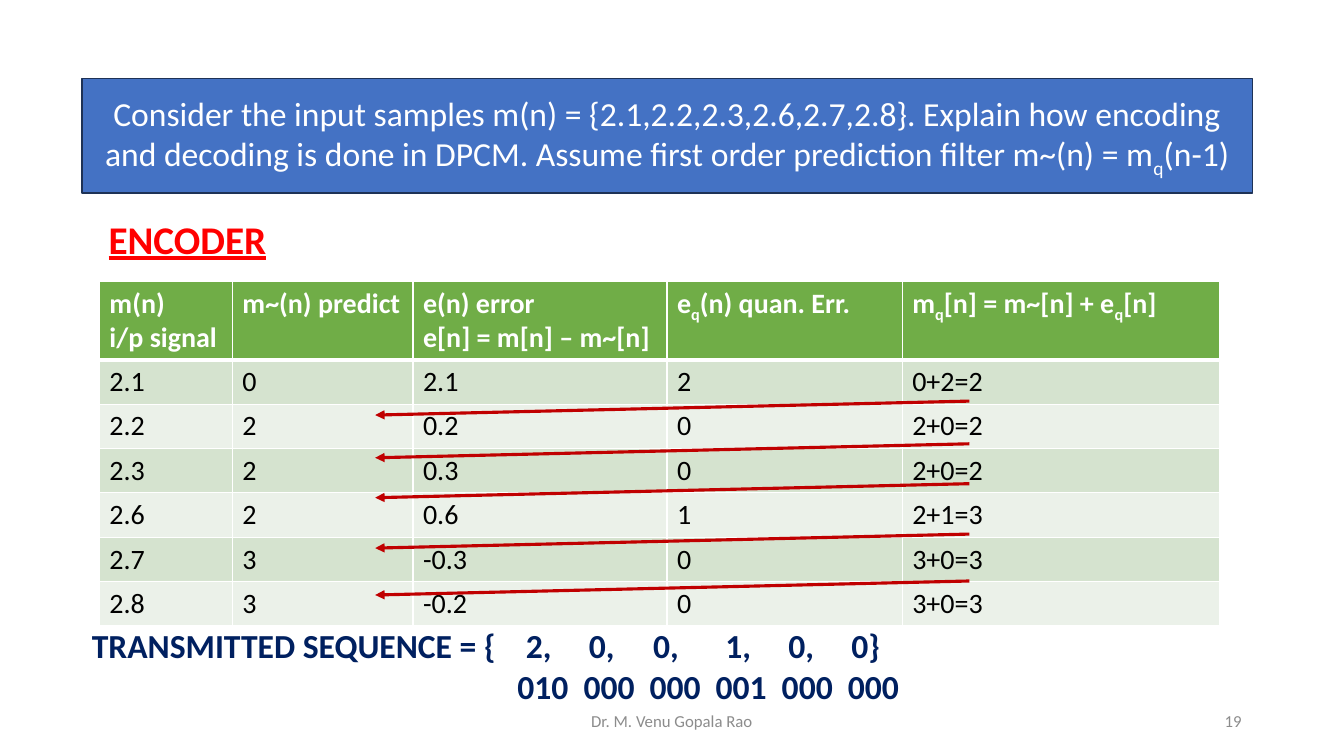
from lxml import etree
from pptx import Presentation
from pptx import util as u
from pptx.dml import color
from pptx.enum import shapes, text
from pptx.oxml import ns

Pt = u.Pt
FONT = "Calibri"
COLORS = {
    "white": "FFFFFF", "black": "000000", "grey": "8C8C8C", "red": "FF0000",
    "navy": "002060", "arrow": "C00000", "blue": "4472C4", "blue_edge": "1E3256",
    "green": "70AD47", "band_dark": "D5E3CF", "band_light": "EBF1E9",
}
COLUMN_WIDTHS = [95, 129, 181.5, 168, 226.5]
HEADER_HEIGHT, ROW_HEIGHT = 56, 31.7
# "_q" marks a subscript q; a line break starts a new paragraph
HEADERS = ["m(n)\ni/p signal", "m~(n) predict", "e(n) error\ne[n] = m[n] – m~[n]",
           "e_q(n) quan. Err.", "m_q[n] = m~[n] + e_q[n]"]
SAMPLES = [
    ["2.1", "0", "2.1", "2", "0+2=2"],
    ["2.2", "2", "0.2", "0", "2+0=2"],
    ["2.3", "2", "0.3", "0", "2+0=2"],
    ["2.6", "2", "0.6", "1", "2+1=3"],
    ["2.7", "3", "-0.3", "0", "3+0=3"],
    ["2.8", "3", "-0.2", "0", "3+0=3"],
]
QUESTION = ("Consider the input samples m(n) = {2.1,2.2,2.3,2.6,2.7,2.8}. Explain how "
            "encoding and decoding is done in DPCM. Assume first order prediction filter "
            "m~(n) = m_q(n-1)")
SEQUENCE = [
    ("TRANSMITTED SEQUENCE = {\t2,\t0,\t0,\t1,\t0,\t0}", [310, 355, 401, 452.5, 497.5, 542.5]),
    ("\t010\t000\t000\t001\t000\t000", [304 + 47.2 * i for i in range(6)]),
]
ARROW_TOPS = [286.5, 317, 345.5, 381.5, 415]


def rgb(name):
    return color.RGBColor.from_string(COLORS[name])


def add_runs(paragraph, content, size, color_name, bold=False, underline=False):
    """Add the text run by run, with each marked q as a subscript."""
    for index, part in enumerate(content.split("_q")):
        for piece, baseline in ([("q", "-25000")] if index else []) + [(part, None)]:
            run = paragraph.add_run()
            run.text = piece
            font = run.font
            font.name, font.size, font.bold = FONT, Pt(size), bold
            font.underline = underline
            font.color.rgb = rgb(color_name)
            if baseline:
                run._r.get_or_add_rPr().set("baseline", baseline)


def write_paragraphs(frame, content, *style, alignment=text.PP_ALIGN.LEFT, **options):
    for index, line in enumerate(content.split("\n")):
        paragraph = frame.add_paragraph() if index else frame.paragraphs[0]
        paragraph.alignment = alignment
        add_runs(paragraph, line, *style, **options)


def add_label(slide, box, content, *style, anchor=text.MSO_ANCHOR.TOP, **options):
    frame = slide.shapes.add_textbox(*map(Pt, box)).text_frame
    frame.word_wrap = True
    frame.vertical_anchor = anchor
    write_paragraphs(frame, content, *style, **options)


def add_question(slide, box):
    title = slide.shapes.title
    title.left, title.top, title.width, title.height = map(Pt, box)
    title.fill.solid()
    title.fill.fore_color.rgb = rgb("blue")
    title.line.color.rgb = rgb("blue_edge")
    title.line.width = Pt(1)
    frame = title.text_frame
    frame.word_wrap = True
    frame.auto_size = text.MSO_AUTO_SIZE.NONE
    frame.vertical_anchor = text.MSO_ANCHOR.MIDDLE
    write_paragraphs(frame, QUESTION, 24, "white", alignment=text.PP_ALIGN.CENTER)


def set_borders(cell, top, bottom):
    properties = cell._tc.get_or_add_tcPr()
    for side, width in (("L", 1), ("R", 1), ("T", top), ("B", bottom)):
        line = etree.SubElement(properties, ns.qn(f"a:ln{side}"), w=str(Pt(width)))
        fill = etree.SubElement(line, ns.qn("a:solidFill"))
        etree.SubElement(fill, ns.qn("a:srgbClr"), val=COLORS["white"])


def add_encoder_table(slide, left, top):
    rows = [HEADERS] + SAMPLES
    heights = [HEADER_HEIGHT] + [ROW_HEIGHT] * len(SAMPLES)
    table = slide.shapes.add_table(
        len(rows), len(HEADERS), Pt(left), Pt(top),
        Pt(sum(COLUMN_WIDTHS)), Pt(sum(heights))).table
    for column, width in zip(table.columns, COLUMN_WIDTHS):
        column.width = Pt(width)
    for row_index, (values, height) in enumerate(zip(rows, heights)):
        table.rows[row_index].height = Pt(height)
        is_header = row_index == 0
        band = "green" if is_header else "band_dark" if row_index % 2 else "band_light"
        for column_index, value in enumerate(values):
            cell = table.cell(row_index, column_index)
            set_borders(cell, 3 if row_index == 1 else 1, 3 if is_header else 1)
            cell.fill.solid()
            cell.fill.fore_color.rgb = rgb(band)
            write_paragraphs(cell.text_frame, value, 20,
                             "white" if is_header else "black", bold=is_header)


def add_feedback_arrows(slide, left, right, drop):
    """Lead each quantised sample to the next row's prediction."""
    for top in ARROW_TOPS:
        arrow = slide.shapes.add_connector(
            shapes.MSO_CONNECTOR.STRAIGHT, Pt(right), Pt(top), Pt(left), Pt(top + drop))
        arrow.line.color.rgb = rgb("arrow")
        arrow.line.width = Pt(2.25)
        etree.SubElement(arrow.line._get_or_add_ln(), ns.qn("a:tailEnd"), type="triangle")
        etree.SubElement(arrow._element.spPr, ns.qn("a:effectLst"))


def add_sequence(slide, box):
    frame = slide.shapes.add_textbox(*map(Pt, box)).text_frame
    frame.word_wrap = True
    for index, (line, stops) in enumerate(SEQUENCE):
        paragraph = frame.add_paragraph() if index else frame.paragraphs[0]
        tabs = etree.SubElement(paragraph._p.get_or_add_pPr(), ns.qn("a:tabLst"))
        for stop in stops:
            etree.SubElement(tabs, ns.qn("a:tab"), pos=str(Pt(stop)), algn="l")
        add_runs(paragraph, line, 24, "navy", bold=True)


def add_footer(slide, top, height):
    for left, width, content, alignment in (
            (318, 324, "Dr. M. Venu Gopala Rao", text.PP_ALIGN.CENTER),
            (678, 216, "19", text.PP_ALIGN.RIGHT)):
        add_label(slide, (left, top, width, height), content, 12, "grey",
                  anchor=text.MSO_ANCHOR.MIDDLE, alignment=alignment)


def main():
    presentation = Presentation()
    presentation.slide_width, presentation.slide_height = Pt(960), Pt(540)
    slide = presentation.slides.add_slide(presentation.slide_layouts[5])
    add_footer(slide, 500.5, 29)
    add_question(slide, (58.5, 56, 836, 82))
    add_encoder_table(slide, 71, 201)
    add_feedback_arrows(slide, 268, 692.5, 10)
    add_label(slide, (70.5, 150, 231, 41), "ENCODER", 28, "red", bold=True, underline=True)
    add_sequence(slide, (58.5, 443, 813, 65.5))
    presentation.save("out.pptx")


if __name__ == "__main__":
    main()
